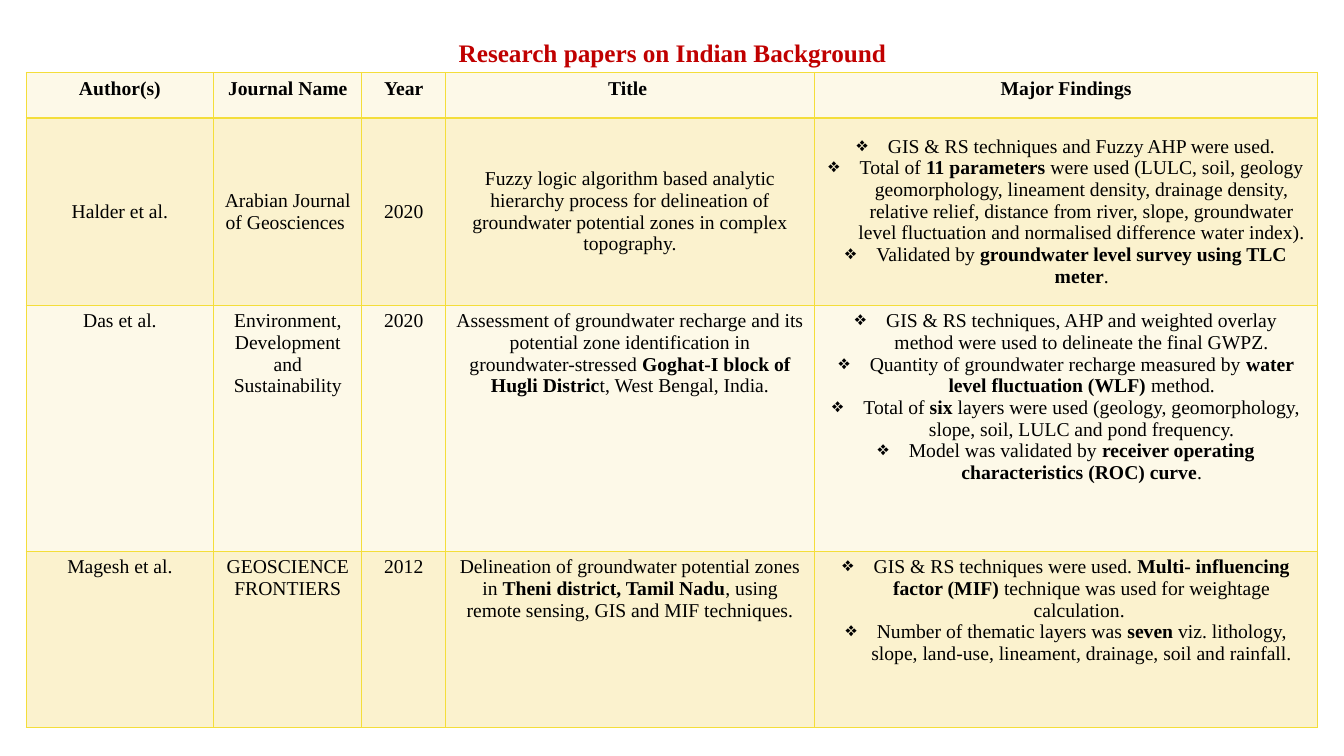
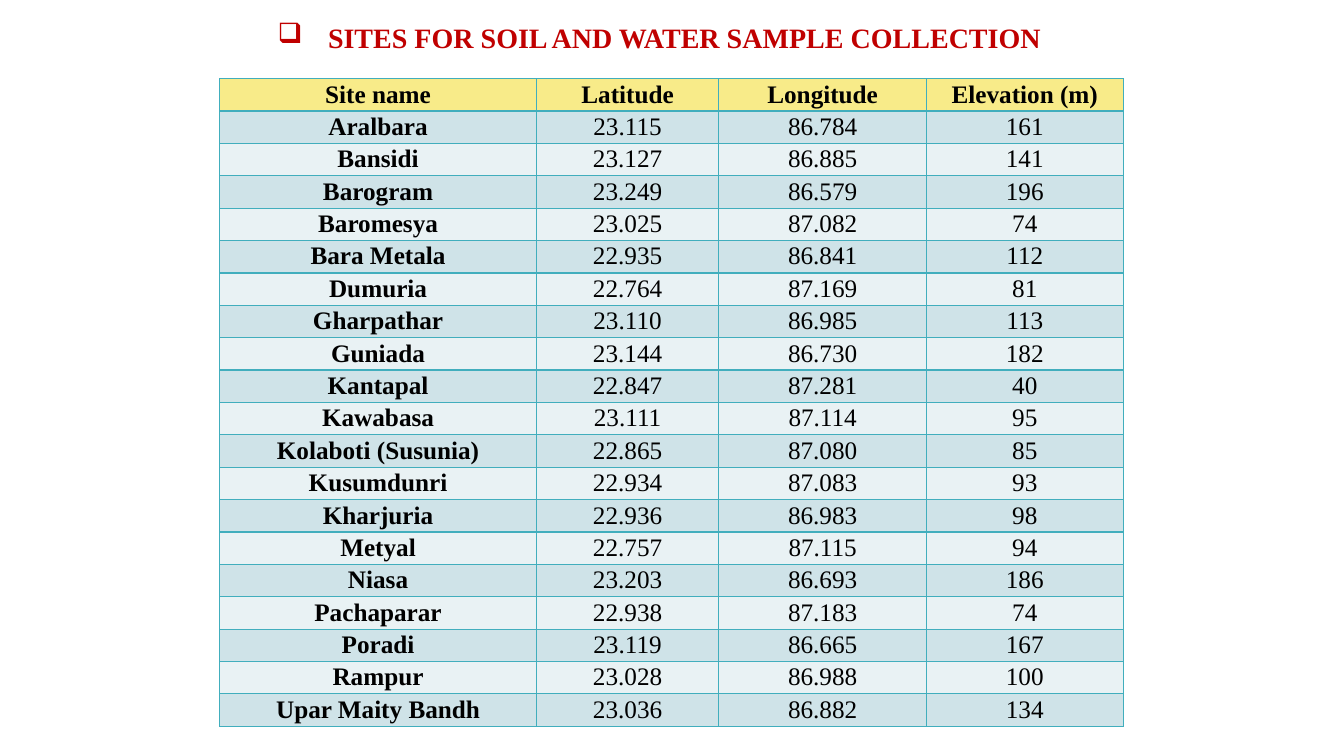
from lxml import etree
from pptx import Presentation
from pptx.dml.color import RGBColor
from pptx.enum.text import MSO_ANCHOR, PP_ALIGN
from pptx.oxml.ns import qn
from pptx.util import Emu, Inches, Pt

CENTER = PP_ALIGN.CENTER
TOP, MIDDLE = MSO_ANCHOR.TOP, MSO_ANCHOR.MIDDLE
FONT = "Times New Roman"
COLORS = {
    "title": "C00000", "text": "000000",
    "paper_line": "F4DE3A", "paper_light": "FDF9E8", "paper_dark": "FBF2CE",
    "site_line": "41AEBD", "site_head": "F8EB89",
    "site_dark": "CFE3E8", "site_light": "E9F2F4",
}

# Content: ** switches bold on and off, a list is a bulleted cell
PAPERS_TITLE = "Research papers on Indian Background"
PAPERS = [
    ("**Author(s)", "**Journal Name", "**Year", "**Title ", "**Major Findings"),
    ("Halder et al.", "Arabian Journal of Geosciences ", "2020",
     "Fuzzy logic algorithm based analytic hierarchy process for delineation of "
     "groundwater potential zones in complex topography.",
     ["GIS & RS techniques and Fuzzy AHP were used.",
      "Total of **11 parameters **were used (LULC, soil, geology geomorphology, "
      "lineament density, drainage density, relative relief, distance from river, "
      "slope, groundwater level fluctuation and normalised difference water index).",
      "Validated by **groundwater level survey using TLC meter**."]),
    ("Das et al.", "Environment, Development and Sustainability", "2020",
     "Assessment of groundwater recharge and its potential zone identification in "
     "groundwater-stressed **Goghat-I block of Hugli Distric**t, West Bengal, India.",
     ["GIS & RS techniques, AHP and weighted overlay method were used to delineate "
      "the final GWPZ.",
      "Quantity of groundwater recharge measured by **water level fluctuation (WLF) "
      "**method.",
      "Total of **six** layers were used (geology, geomorphology, slope, soil, LULC "
      "and pond frequency.",
      "Model was validated by **receiver operating characteristics (ROC) curve**."]),
    ("Magesh et al.", "GEOSCIENCE FRONTIERS", "2012",
     "Delineation of groundwater potential zones in **Theni district, Tamil Nadu**, "
     "using remote sensing, GIS and MIF techniques.",
     ["GIS & RS techniques were used. **Multi- influencing factor (MIF) **technique "
      "was used for weightage calculation. ",
      "Number of thematic layers was** seven **viz. lithology, slope, land-use, "
      "lineament, drainage, soil and rainfall."]),
]

SITES_TITLE = "SITES FOR SOIL AND WATER SAMPLE COLLECTION"
SITE_HEADINGS = ("Site name", "Latitude", "Longitude", "Elevation (m)")
SITES = [
    ("Aralbara", "23.115", "86.784", "161"),
    ("Bansidi", "23.127", "86.885", "141"),
    ("Barogram", "23.249", "86.579", "196"),
    ("Baromesya", "23.025", "87.082", "74"),
    ("Bara Metala", "22.935", "86.841", "112"),
    ("Dumuria", "22.764", "87.169", "81"),
    ("Gharpathar", "23.110", "86.985", "113"),
    ("Guniada", "23.144", "86.730", "182"),
    ("Kantapal", "22.847", "87.281", "40"),
    ("Kawabasa", "23.111", "87.114", "95"),
    ("Kolaboti (Susunia)", "22.865", "87.080", "85"),
    ("Kusumdunri", "22.934", "87.083", "93"),
    ("Kharjuria", "22.936", "86.983", "98"),
    ("Metyal", "22.757", "87.115", "94"),
    ("Niasa", "23.203", "86.693", "186"),
    ("Pachaparar", "22.938", "87.183", "74"),
    ("Poradi", "23.119", "86.665", "167"),
    ("Rampur", "23.028", "86.988", "100"),
    ("Upar Maity Bandh", "23.036", "86.882", "134"),
]


def rgb(name):
    return RGBColor.from_string(COLORS[name])


def write(frame, text, size, color="text", bold=False, bullet=None, indent=0.31,
          spacing=None, after=None):
    """Fill a frame with one paragraph, or with one per item of a list."""
    frame.word_wrap = True
    for i, line in enumerate(text if isinstance(text, list) else [text]):
        paragraph = frame.add_paragraph() if i else frame.paragraphs[0]
        paragraph.alignment = CENTER
        if spacing:
            paragraph.line_spacing = spacing
        if after:
            paragraph.space_after = Pt(after)
        if bullet:
            props = paragraph._p.get_or_add_pPr()
            props.set("marL", str(Inches(indent)))
            props.set("indent", str(-Inches(indent)))
            etree.SubElement(props, qn("a:buChar"), char=bullet)
        for part, words in enumerate(line.split("**")):
            if words:
                run = paragraph.add_run()
                run.text = words
                run.font.name, run.font.size = FONT, Pt(size)
                run.font.bold = bold or part % 2 == 1
                run.font.color.rgb = rgb(color)


def add_title(slide, text, at, size, **style):
    box = slide.shapes.add_textbox(*map(Inches, at))
    write(box.text_frame, text, size, color="title", bold=True, **style)


def outline(cell, color):
    props = cell._tc.get_or_add_tcPr()
    for side in ("lnL", "lnR", "lnT", "lnB"):
        line = etree.SubElement(props, qn("a:" + side), w=str(Pt(1)))
        fill = etree.SubElement(line, qn("a:solidFill"))
        etree.SubElement(fill, qn("a:srgbClr"), val=COLORS[color])


def add_grid(slide, left, top, widths, heights, line, fills):
    """Add an outlined table; fills holds the heading fill and two band fills."""
    frame = slide.shapes.add_table(len(heights), len(widths), Inches(left), Inches(top),
                                   Inches(sum(widths)), Inches(sum(heights)))
    table = frame.table
    table.first_row = table.horz_banding = False
    for column, width in zip(table.columns, widths):
        column.width = Inches(width)
    for r, (row, height) in enumerate(zip(table.rows, heights)):
        row.height = Inches(height)
        for cell in row.cells:
            outline(cell, line)
            cell.fill.solid()
            cell.fill.fore_color.rgb = rgb(fills[1 + (r - 1) % 2] if r else fills[0])
    return table


def build_papers(slide):
    table = add_grid(slide, 0.26, 0.72, (1.86, 1.47, 0.83, 3.66, 4.99),
                     (0.45, 1.86, 2.44, 1.75), "paper_line",
                     ("paper_light", "paper_dark", "paper_light"))
    for r, paper in enumerate(PAPERS):
        for c, text in enumerate(paper):
            cell = table.cell(r, c)
            cell.vertical_anchor = MIDDLE if r == 1 else TOP
            write(cell.text_frame, text, 14,
                  bullet="❖" if isinstance(text, list) else None)
    add_title(slide, PAPERS_TITLE, (4.31, 0.32, 4.72, 0.4), 18)


def build_sites(slide):
    add_title(slide, SITES_TITLE, (1.14, 0.15, 10.8, 0.44), 20, bullet="❑", indent=0.5)
    rows = [SITE_HEADINGS] + SITES
    table = add_grid(slide, 2.18, 0.78, (3.14, 1.81, 2.06, 1.95),
                     [6.42 / len(rows)] * len(rows), "site_line",
                     ("site_head", "site_dark", "site_light"))
    for r, site in enumerate(rows):
        for c, text in enumerate(site):
            cell = table.cell(r, c)
            cell.margin_left = cell.margin_right = Inches(0.07)
            cell.margin_top = cell.margin_bottom = Emu(0)
            write(cell.text_frame, text, 18, bold=r == 0 or c == 0,
                  spacing=1.07, after=8)


def main():
    deck = Presentation()
    deck.slide_width, deck.slide_height = Inches(13.33), Inches(7.5)
    blank = deck.slide_layouts[6]
    for build in (build_papers, build_sites):
        build(deck.slides.add_slide(blank))
    deck.save("out.pptx")


if __name__ == "__main__":
    main()
